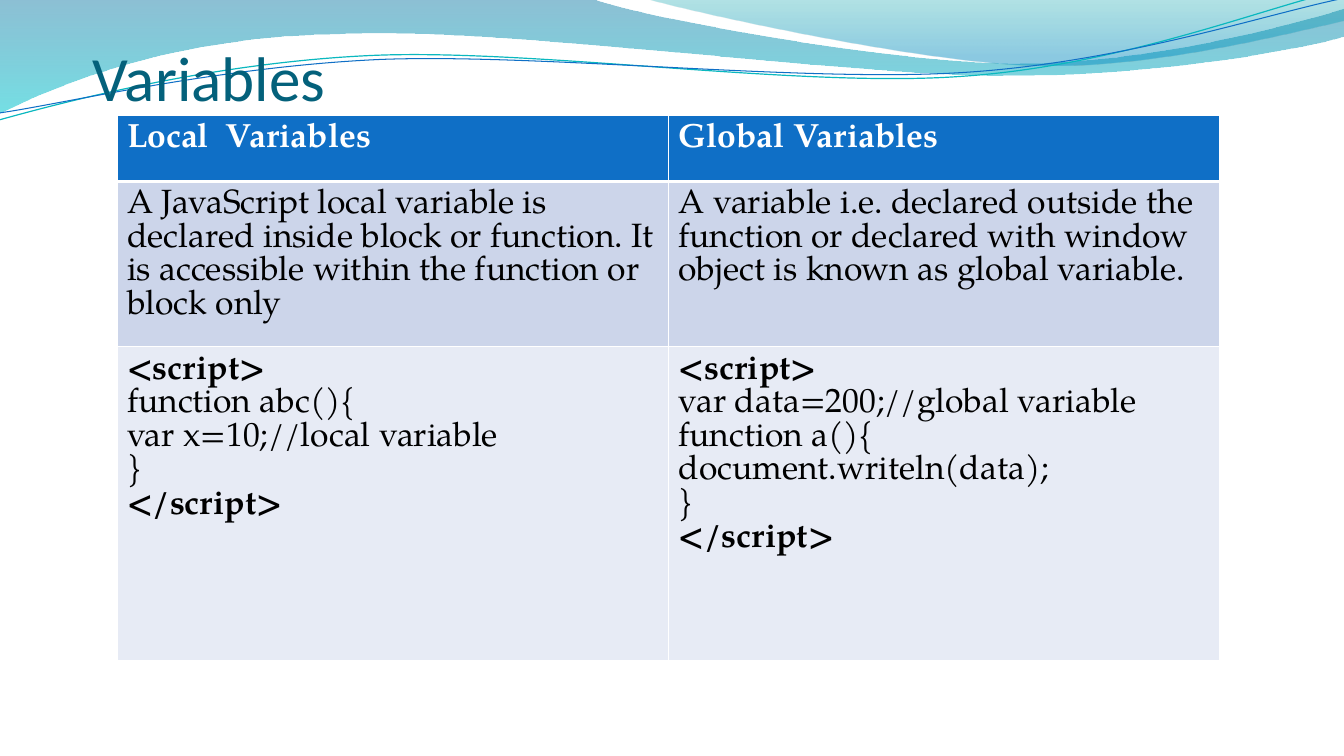
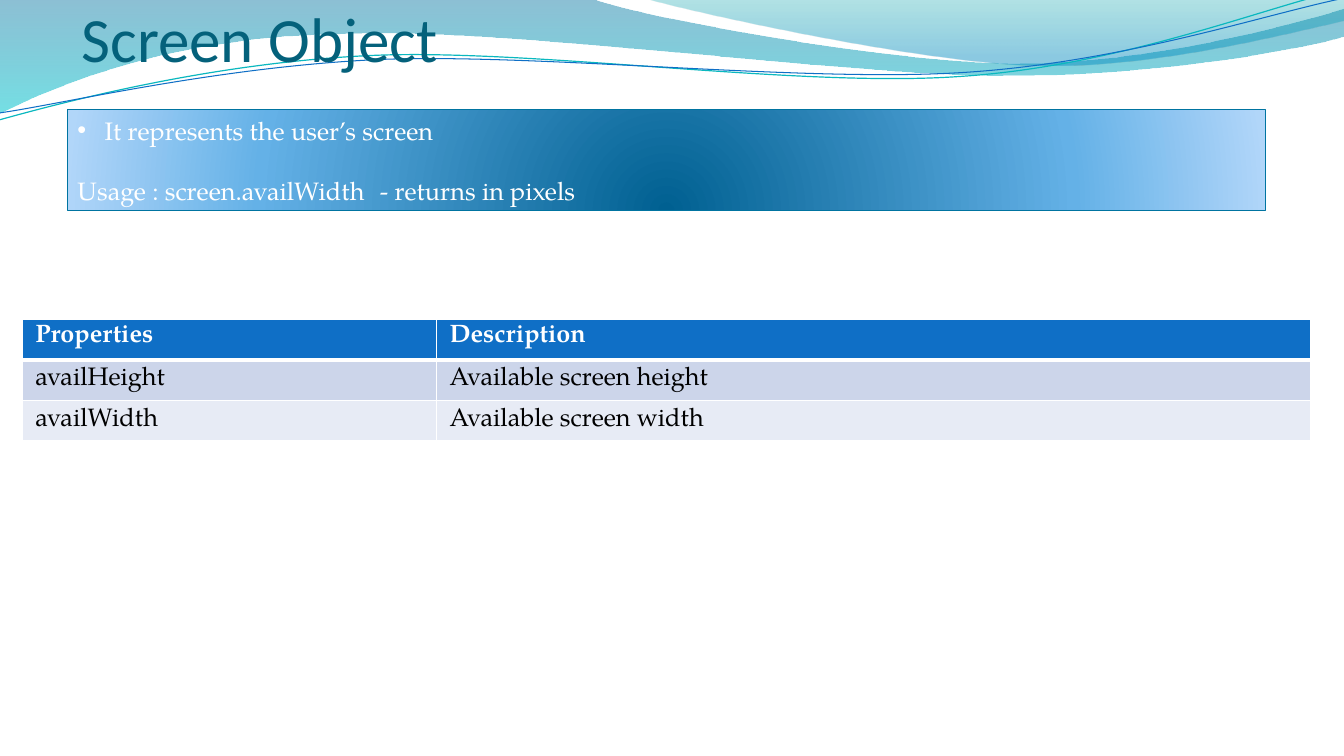
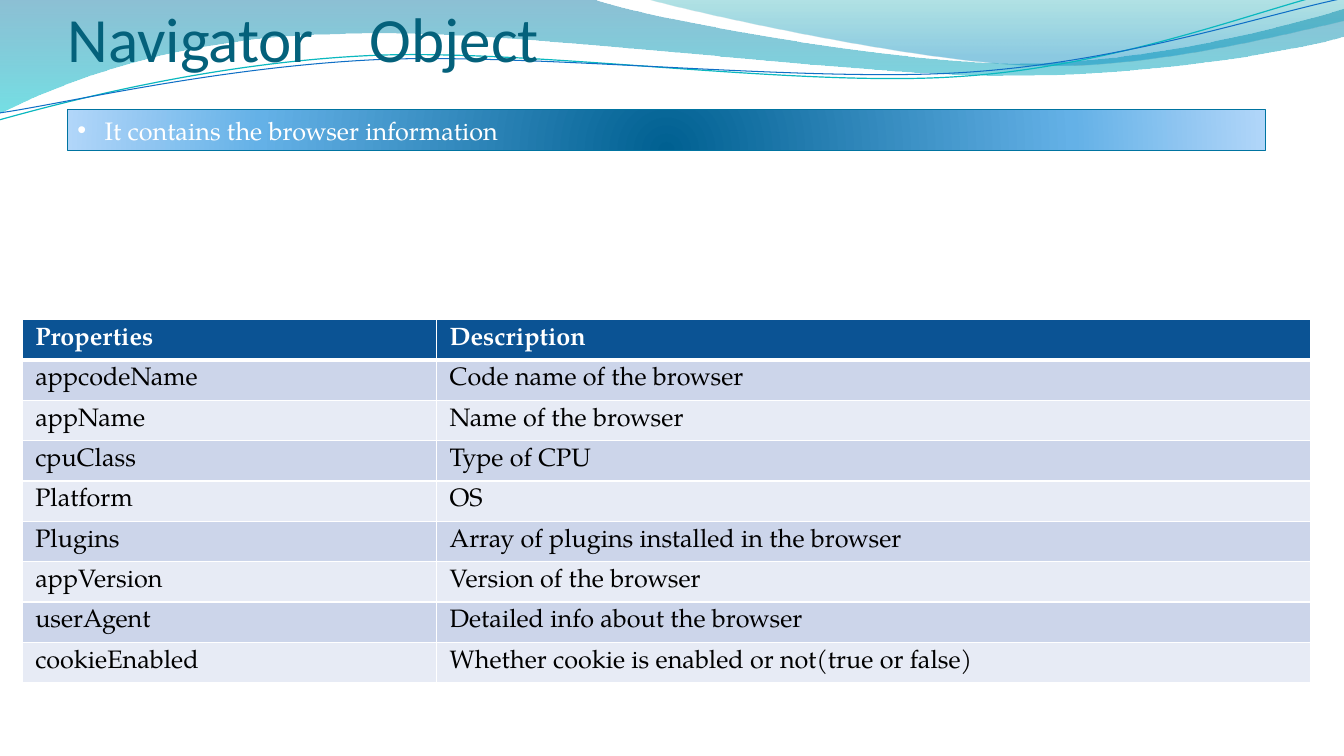
from dataclasses import dataclass
from typing import Optional, Union

import lxml.etree
import pptx
import pptx.dml.color
import pptx.enum.shapes
import pptx.enum.text
import pptx.oxml.ns
import pptx.presentation
import pptx.shapes.autoshape
import pptx.slide
import pptx.table
import pptx.text.text
import pptx.util

Inches = pptx.util.Inches
Pt = pptx.util.Pt
qn = pptx.oxml.ns.qn
Anchor = pptx.enum.text.MSO_ANCHOR
Spacing = Optional[Union[float, pptx.util.Length]]

COLOURS: dict[str, str] = {
    "white": "FFFFFF",
    "black": "000000",
    "title": "04617B",
    "blue": "0F6FC6",
    "navy": "0B5394",
    "row_dark": "CCD5EA",
    "row_light": "E7EBF5",
    "outline": "0074A1",
    "turquoise": "00C6CF",
    "sea": "00A1A9",
    "lake": "008BBF",
    "thread": "0AB8BF",
    "glow_core": "006091",
    "glow_middle": "64B1E7",
    "glow_edge": "B1D6F9",
}
TITLE_FONT = "Calibri"
BODY_FONT = "TeX Gyre Pagella"
SCRIPT_TAGS = ("<script>", "</script>")


@dataclass(frozen=True)
class Stop:
    position: int
    colour: str
    alpha: int = 100


@dataclass(frozen=True)
class Wave:
    start: tuple[float, float]
    segments: tuple[tuple[float, ...], ...]
    stops: tuple[Stop, ...] = ()
    line: str = ""
    width: float = 0


@dataclass(frozen=True)
class Title:
    text: str
    left: float
    top: float
    width: float
    height: float


@dataclass(frozen=True)
class Grid:
    left: float
    top: float
    columns: tuple[float, ...]
    heights: tuple[float, ...]
    rows: tuple[tuple[str, str], ...]
    size: int
    header_colour: str = "blue"
    side_margin: float = 0.13
    top_margin: float = 0.05
    header_anchor: Anchor = Anchor.TOP
    body_anchor: Anchor = Anchor.MIDDLE
    header_spacing: Spacing = None
    body_spacing: Spacing = None


@dataclass(frozen=True)
class Banner:
    height: float
    bullet: str
    usage: str = ""


WAVES = (
    Wave(
        (0, 0),
        (
            (5.87, -0.01),
            (6.34, 0.17, 8.85, 0.63, 10.11, 0.63),
            (11.38, 0.63, 12.78, 0.26, 13.33, 0.09),
            (13.35, 0.36),
            (13.11, 0.44, 11.6, 0.76, 9.94, 0.75),
            (8.29, 0.75, 5.09, 0.28, 3.43, 0.34),
            (1.72, 0.36, 0.61, 0.83, -0.01, 1.13),
        ),
        stops=(Stop(0, "outline", 45), Stop(100, "turquoise", 55)),
    ),
    Wave(
        (6.39, -0.01),
        (
            (6.79, 0.11, 9.09, 0.62, 10.25, 0.65),
            (11.41, 0.69, 12.82, 0.32, 13.33, 0.21),
            (13.33, 0),
        ),
        stops=(Stop(0, "sea", 30), Stop(80, "lake", 45)),
    ),
    Wave(
        (-0.01, 1.19),
        (
            (0.64, 1.01, 2.11, 0.62, 3.69, 0.55),
            (5.27, 0.48, 7.9, 0.87, 9.5, 0.76),
            (11.1, 0.66, 12.52, 0.08, 13.31, -0.1),
        ),
        line="thread",
        width=0.85,
    ),
    Wave(
        (0, 1.12),
        (
            (0.63, 1.03, 2.18, 0.66, 3.78, 0.59),
            (5.37, 0.53, 7.96, 0.82, 9.55, 0.72),
            (11.15, 0.62, 12.55, 0.14, 13.34, -0.02),
        ),
        line="blue",
        width=0.75,
    ),
)
BANNER_STOPS = (Stop(0, "glow_core"), Stop(68, "glow_middle"), Stop(100, "glow_edge"))

VARIABLES = Grid(
    left=1.16,
    top=1.14,
    columns=(5.47, 5.47),
    heights=(0.66, 1.64, 3.11),
    rows=(
        ("Local  Variables", "Global Variables"),
        (
            "A JavaScript local variable is declared inside block or function. "
            "It is accessible within the function or block only",
            "A variable i.e. declared outside the function or declared with "
            "window object is known as global variable.",
        ),
        (
            "<script>\nfunction abc(){\nvar x=10;//local variable\n}\n</script>",
            "<script>\nvar data=200;//global variable\nfunction a(){\n"
            "document.writeln(data);\n}\n</script>",
        ),
    ),
    size=24,
    side_margin=0.1,
    top_margin=0.08,
    body_anchor=Anchor.TOP,
    header_spacing=Pt(24),
    body_spacing=Pt(24),
)


def property_grid(rows: tuple[tuple[str, str], ...], header_colour: str,
                  header_anchor: Anchor, header_spacing: Spacing) -> Grid:
    return Grid(
        left=0.22,
        top=3.17,
        columns=(4.11, 8.67),
        heights=(0.4,) * (len(rows) + 1),
        rows=(("Properties", "Description"),) + rows,
        size=18,
        header_colour=header_colour,
        header_anchor=header_anchor,
        header_spacing=header_spacing,
    )


SCREEN = property_grid(
    (
        ("availHeight", "Available screen height"),
        ("availWidth", "Available screen width"),
    ),
    "blue", Anchor.TOP, 0.9,
)
NAVIGATOR = property_grid(
    (
        ("appcodeName", "Code name of the browser"),
        ("appName", "Name of the browser"),
        ("cpuClass", "Type of CPU"),
        ("Platform", "OS"),
        ("Plugins", "Array of plugins installed in the browser"),
        ("appVersion", "Version of the browser"),
        ("userAgent", "Detailed info about the browser"),
        ("cookieEnabled", "Whether cookie is enabled or not(true or false)"),
    ),
    "navy", Anchor.MIDDLE, None,
)


def rgb(name: str) -> pptx.dml.color.RGBColor:
    return pptx.dml.color.RGBColor.from_string(COLOURS[name])


def add_span(para: pptx.text.text._Paragraph, text: str, font: str, size: float,
             colour: str, bold: bool = False) -> None:
    span = para.add_run()
    span.text = text
    span.font.name = font
    span.font.size = Pt(size)
    span.font.bold = bold
    span.font.color.rgb = rgb(colour)


def set_gradient(shape: pptx.shapes.autoshape.Shape, stops: tuple[Stop, ...],
                 radial: bool = False) -> None:
    shape.fill.gradient()
    gradient = shape.element.spPr.find(qn("a:gradFill"))
    for child in list(gradient):
        gradient.remove(child)
    stop_list = lxml.etree.SubElement(gradient, qn("a:gsLst"))
    for stop in stops:
        item = lxml.etree.SubElement(stop_list, qn("a:gs"), pos=str(stop.position * 1000))
        colour = lxml.etree.SubElement(item, qn("a:srgbClr"), val=COLOURS[stop.colour])
        if stop.alpha < 100:
            lxml.etree.SubElement(colour, qn("a:alpha"), val=str(stop.alpha * 1000))
    if radial:
        focus = lxml.etree.SubElement(gradient, qn("a:path"), {"path": "circle"})
        lxml.etree.SubElement(focus, qn("a:fillToRect"),
                              l="50000", t="130000", r="50000", b="-30000")
    else:
        lxml.etree.SubElement(gradient, qn("a:lin"), ang="5400000", scaled="0")


def bend(shape: pptx.shapes.autoshape.Shape, wave: Wave) -> None:
    lines = iter(list(shape.element.spPr.iter(qn("a:lnTo"))))
    for segment in wave.segments:
        first = next(lines)
        if len(segment) == 6:
            first.addprevious(curve := lxml.etree.Element(qn("a:cubicBezTo")))
            for line in (first, next(lines), next(lines)):
                curve.append(line[0])
                line.getparent().remove(line)


def draw_wave(page: pptx.slide.Slide, wave: Wave) -> pptx.shapes.autoshape.Shape:
    points = [(Inches(segment[i]), Inches(segment[i + 1]))
              for segment in wave.segments for i in range(0, len(segment), 2)]
    builder = page.shapes.build_freeform(Inches(wave.start[0]), Inches(wave.start[1]))
    builder.add_line_segments(points, close=bool(wave.stops))
    shape = builder.convert_to_shape()
    bend(shape, wave)
    shape.shadow.inherit = False
    if wave.stops:
        set_gradient(shape, wave.stops)
        shape.line.fill.background()
    else:
        shape.fill.background()
        shape.line.color.rgb = rgb(wave.line)
        shape.line.width = Pt(wave.width)
    return shape


def decorate_layout(page: pptx.slide.Slide) -> None:
    tree = page.slide_layout.shapes._spTree
    for placeholder in list(page.slide_layout.placeholders):
        tree.remove(placeholder.element)
    for shape in [draw_wave(page, wave) for wave in WAVES]:
        tree.append(shape.element)


def draw_title(page: pptx.slide.Slide, title: Title) -> None:
    box = page.shapes.add_textbox(Inches(title.left), Inches(title.top),
                                  Inches(title.width), Inches(title.height))
    frame = box.text_frame
    frame.word_wrap = True
    frame.vertical_anchor = Anchor.BOTTOM
    frame.margin_left = frame.margin_right = frame.margin_bottom = 0
    frame.margin_top = Inches(0.05)
    para = frame.paragraphs[0]
    if "\t" in title.text:
        tabs = lxml.etree.SubElement(para._p.get_or_add_pPr(), qn("a:tabLst"))
        lxml.etree.SubElement(tabs, qn("a:tab"), pos=str(Inches(3)), algn="l")
    add_span(para, title.text, TITLE_FONT, 45, "title")


def set_borders(cell: pptx.table._Cell, widths: dict[str, float]) -> None:
    properties = cell._tc.get_or_add_tcPr()
    for side, width in widths.items():
        line = lxml.etree.SubElement(properties, qn(f"a:ln{side}"), w=str(Pt(width)))
        fill = lxml.etree.SubElement(line, qn("a:solidFill"))
        lxml.etree.SubElement(fill, qn("a:srgbClr"), val=COLOURS["white"])


def fill_cell(cell: pptx.table._Cell, text: str, row: int, grid: Grid) -> None:
    header = row == 0
    set_borders(cell, {"L": 1, "R": 1, "T": 1, "B": 3 if header else 1})
    cell.fill.solid()
    band = "row_dark" if row % 2 else "row_light"
    cell.fill.fore_color.rgb = rgb(grid.header_colour if header else band)
    cell.margin_left = cell.margin_right = Inches(grid.side_margin)
    cell.margin_top = Inches(grid.top_margin)
    cell.margin_bottom = Inches(0.05)
    cell.vertical_anchor = grid.header_anchor if header else grid.body_anchor
    frame = cell.text_frame
    for index, line in enumerate(text.split("\n")):
        para = frame.add_paragraph() if index else frame.paragraphs[0]
        para.line_spacing = grid.header_spacing if header else grid.body_spacing
        add_span(para, line, BODY_FONT, grid.size, "white" if header else "black",
                 header or line in SCRIPT_TAGS)


def draw_grid(page: pptx.slide.Slide, grid: Grid) -> None:
    table = page.shapes.add_table(
        len(grid.rows), len(grid.columns), Inches(grid.left), Inches(grid.top),
        Inches(sum(grid.columns)), Inches(sum(grid.heights))).table
    table.horz_banding = False
    for column, width in zip(table.columns, grid.columns):
        column.width = Inches(width)
    for row, height in enumerate(grid.heights):
        table.rows[row].height = Inches(height)
        for column, text in enumerate(grid.rows[row]):
            fill_cell(table.cell(row, column), text, row, grid)


def draw_banner(page: pptx.slide.Slide, banner: Banner) -> None:
    box = page.shapes.add_shape(pptx.enum.shapes.MSO_SHAPE.RECTANGLE, Inches(0.67),
                                Inches(1.09), Inches(11.88), Inches(banner.height))
    box.shadow.inherit = False
    set_gradient(box, BANNER_STOPS, radial=True)
    box.line.color.rgb = rgb("outline")
    box.line.width = Pt(0.75)
    frame = box.text_frame
    frame.word_wrap = True
    frame.vertical_anchor = Anchor.TOP
    para = frame.paragraphs[0]
    para.alignment = pptx.enum.text.PP_ALIGN.LEFT
    properties = para._p.get_or_add_pPr()
    properties.set("marL", str(Inches(0.27)))
    properties.set("indent", str(-Inches(0.27)))
    lxml.etree.SubElement(properties, qn("a:buFont"), typeface="Arial")
    lxml.etree.SubElement(properties, qn("a:buChar"), char="•")
    add_span(para, banner.bullet, BODY_FONT, 18, "white")
    if banner.usage:
        usage = frame.add_paragraph()
        usage.alignment = pptx.enum.text.PP_ALIGN.LEFT
        usage.space_before = Pt(21.5)
        add_span(usage, banner.usage, BODY_FONT, 18, "white")


def draw_page(deck: pptx.presentation.Presentation, title: Title, grid: Grid,
              banner: Optional[Banner] = None) -> None:
    page = deck.slides.add_slide(deck.slide_layouts[6])
    if len(deck.slides) == 1:
        decorate_layout(page)
    draw_title(page, title)
    draw_grid(page, grid)
    if banner:
        draw_banner(page, banner)


def main() -> None:
    deck = pptx.Presentation()
    deck.slide_width = Inches(13.33)
    deck.slide_height = Inches(7.5)
    draw_page(deck, Title("Variables", 0.92, 0.4, 11.5, 0.73), VARIABLES)
    draw_page(deck, Title("Screen Object", 0.81, 0, 11.86, 0.75), SCREEN,
              Banner(1, "It represents the user’s screen",
                     "Usage : screen.availWidth\t- returns in pixels"))
    draw_page(deck, Title("Navigator\tObject", 0.67, 0, 12, 0.75), NAVIGATOR,
              Banner(0.4, "It contains the browser information"))
    deck.save("out.pptx")


if __name__ == "__main__":
    main()
